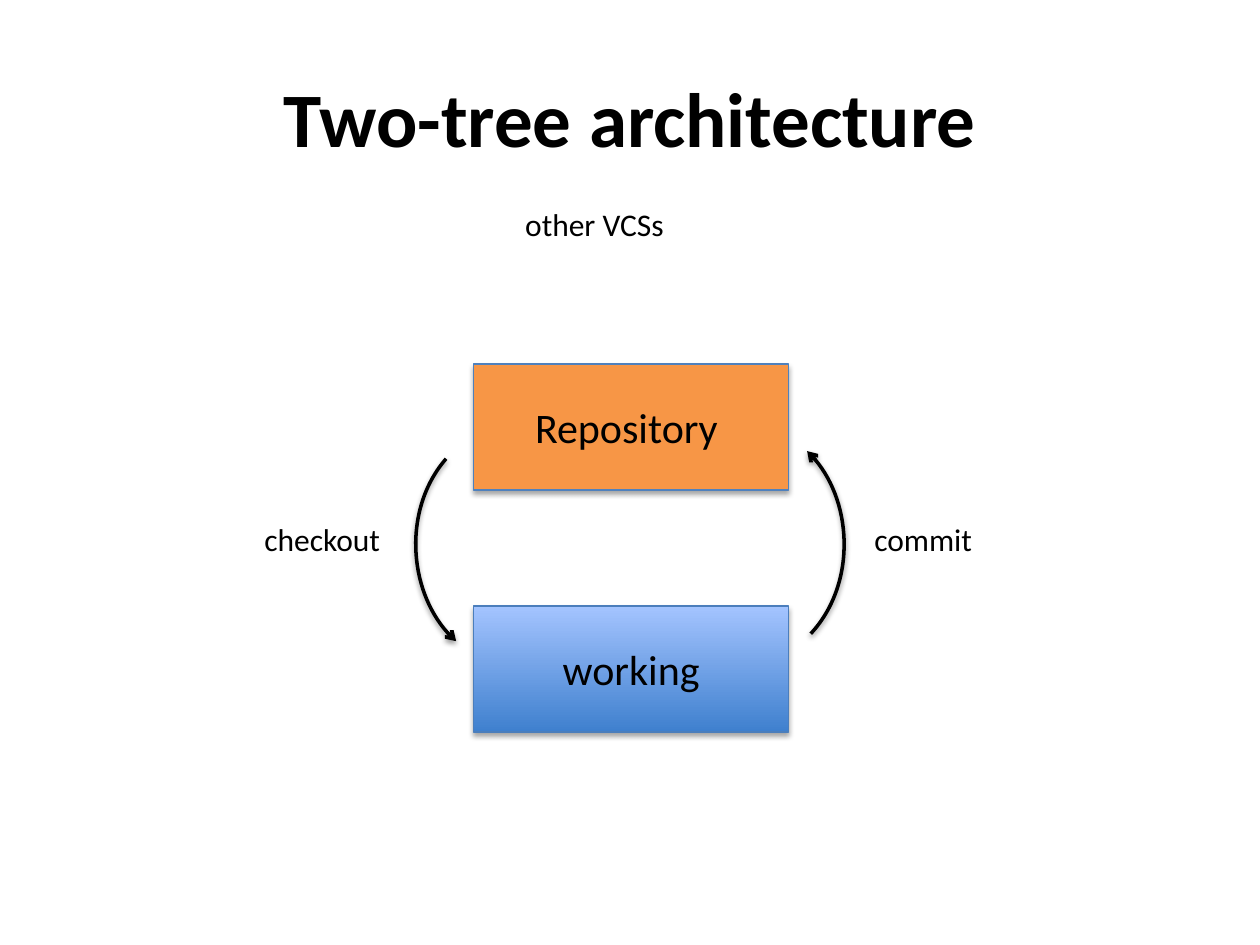
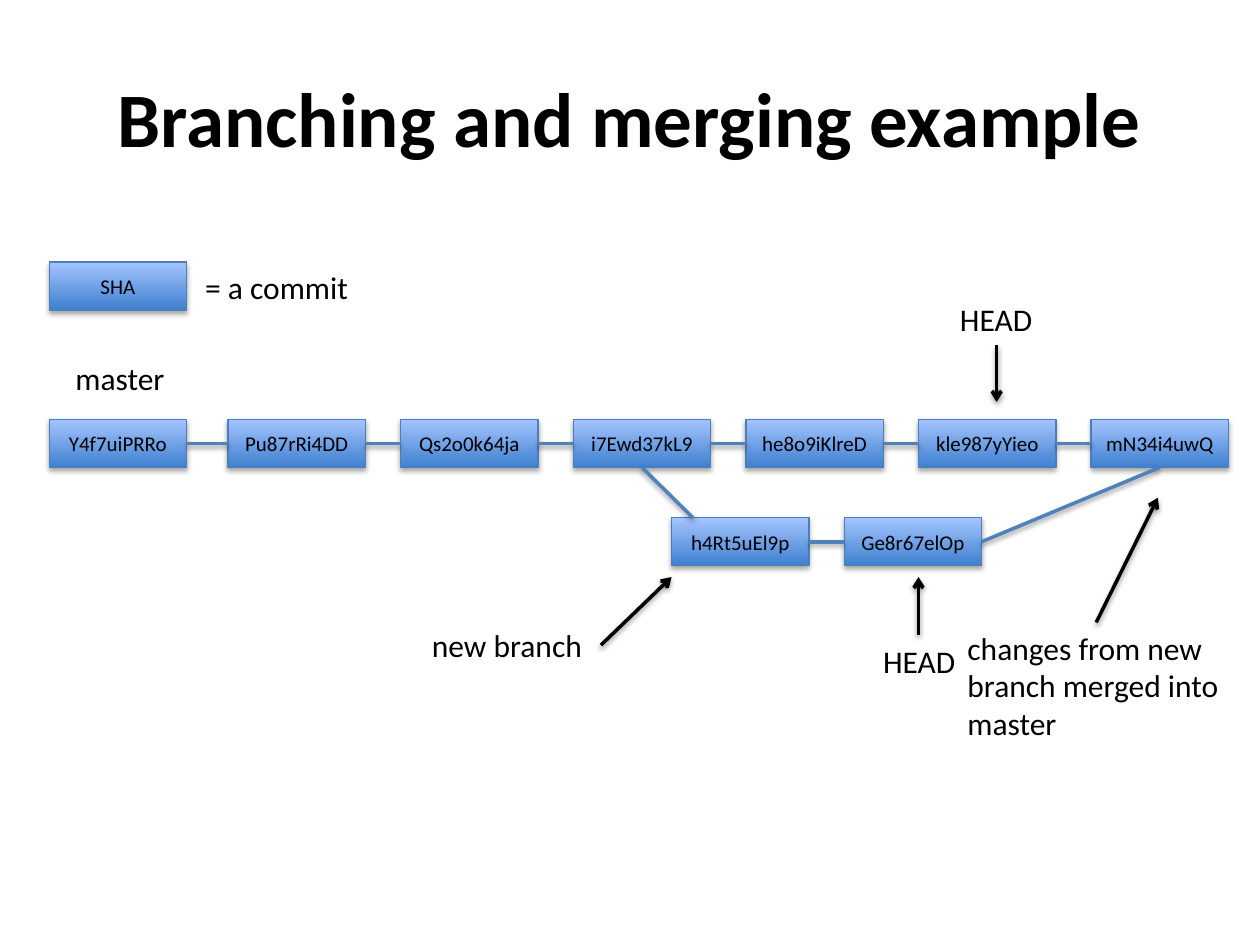
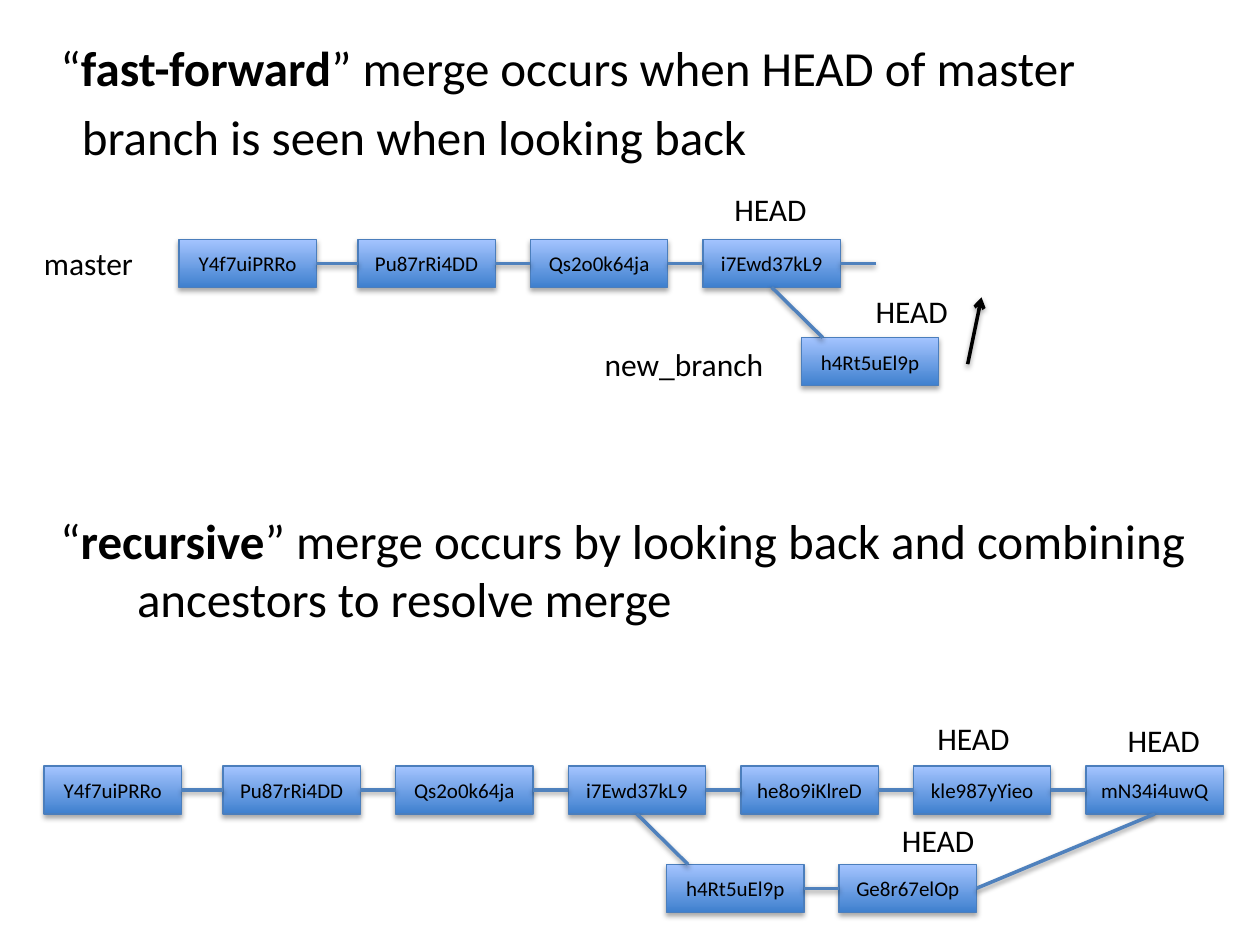
from dataclasses import dataclass
from itertools import pairwise

from lxml import etree
from pptx import Presentation
from pptx.dml.color import RGBColor
from pptx.enum.shapes import MSO_CONNECTOR, MSO_SHAPE
from pptx.enum.text import MSO_ANCHOR, MSO_AUTO_SIZE, PP_ALIGN
from pptx.oxml.ns import qn
from pptx.util import Inches, Pt

STRAIGHT, CURVE = MSO_CONNECTOR.STRAIGHT, MSO_CONNECTOR.CURVE
RECTANGLE = MSO_SHAPE.RECTANGLE
MIDDLE, CENTER = MSO_ANCHOR.MIDDLE, PP_ALIGN.CENTER
GROW, FIXED = MSO_AUTO_SIZE.SHAPE_TO_FIT_TEXT, MSO_AUTO_SIZE.NONE
TITLE_ONLY, TITLE_AND_BODY = 5, 1


@dataclass(frozen=True)
class Theme:
    """Colours, type sizes and line widths of the deck."""

    font: str = "Calibri"
    ink: RGBColor = RGBColor(0x00, 0x00, 0x00)
    orange: RGBColor = RGBColor(0xF7, 0x96, 0x46)
    blue: RGBColor = RGBColor(0x4F, 0x81, 0xBD)
    box_line: RGBColor = RGBColor(0x4B, 0x7E, 0xBC)
    gradient: tuple = (RGBColor(0x3F, 0x80, 0xCE), RGBColor(0xA4, 0xC4, 0xFF))
    title: Pt = Pt(44)
    statement: Pt = Pt(28)
    tree: Pt = Pt(24)
    label: Pt = Pt(18)
    commit: Pt = Pt(12)
    outline: Pt = Pt(0.75)
    connector: Pt = Pt(2)


THEME = Theme()
COMMIT_WIDTH, COMMIT_HEIGHT = 1.09, 0.38
FIRST_STEP, STEP = 1.42, 1.37
BRANCH_LEFT, BRANCH_DROP = 4.94, 0.78
FORK_INDEX, FORK_LANDING = 3, 0.17
MASTER = ["Y4f7uiPRRo", "Pu87rRi4DD", "Qs2o0k64ja", "i7Ewd37kL9",
          "he8o9iKlreD", "kle987yYieo", "mN34i4uwQ"]
BRANCH = ["h4Rt5uEl9p", "Ge8r67elOp"]


def style_font(font, size, bold=False):
    """Apply the deck's typeface and ink."""
    font.name, font.size, font.bold = THEME.font, size, bold
    font.color.rgb = THEME.ink


def add_shadow(shape, opacity, distance):
    """Give a shape or connector a soft shadow straight below it."""
    effects = etree.SubElement(shape._element.spPr, qn("a:effectLst"))
    shadow = etree.SubElement(effects, qn("a:outerShdw"), blurRad=str(Pt(3.1)),
                              dist=str(Pt(distance)), dir="5400000", rotWithShape="0")
    color = etree.SubElement(shadow, qn("a:srgbClr"), val=str(THEME.ink))
    etree.SubElement(color, qn("a:alpha"), val=str(opacity * 1000))


def add_box(slide, text, left, top, width, height, size, solid=None):
    """Draw a captioned rectangle, with the blue gradient unless a colour is given."""
    shape = slide.shapes.add_shape(RECTANGLE, Inches(left), Inches(top),
                                   Inches(width), Inches(height))
    if solid:
        shape.fill.solid()
        shape.fill.fore_color.rgb = solid
    else:
        shape.fill.gradient()
        shape.fill.gradient_angle = 90
        for stop, color in zip(shape.fill.gradient_stops, THEME.gradient):
            stop.color.rgb = color
    shape.line.color.rgb = THEME.blue if solid else THEME.box_line
    shape.line.width = THEME.outline
    add_shadow(shape, 35, 1.8)
    frame = shape.text_frame
    frame.text = text
    frame.word_wrap = False
    frame.vertical_anchor = MIDDLE
    paragraph = frame.paragraphs[0]
    paragraph.alignment = CENTER
    style_font(paragraph.runs[0].font, size)


def add_line(slide, start, end, arrow=False, kind=STRAIGHT):
    """Connect two points with a blue line or a black arrow."""
    connector = slide.shapes.add_connector(kind, *map(Inches, (*start, *end)))
    connector.line.color.rgb = THEME.ink if arrow else THEME.blue
    connector.line.width = THEME.connector
    if arrow:
        etree.SubElement(connector.line._get_or_add_ln(), qn("a:tailEnd"), type="arrow")
    add_shadow(connector, 38, 1.6)
    return connector


def add_arc_arrow(slide, left, top, rotation):
    """Draw a quarter-turn arrow, rotated clockwise by degrees."""
    connector = add_line(slide, (left, top + 1.01), (left + 1.04, top), True, CURVE)
    properties = connector._element.spPr
    properties.find(qn("a:xfrm")).set("rot", str(rotation * 60000))
    properties.find(qn("a:prstGeom")).set("prst", "curvedConnector2")


def add_label(slide, text, left, top, width, height=0.4):
    """Place a plain label."""
    box = slide.shapes.add_textbox(Inches(left), Inches(top), Inches(width), Inches(height))
    frame = box.text_frame
    frame.text = text
    frame.word_wrap = False
    frame.auto_size = GROW
    for paragraph in frame.paragraphs:
        style_font(paragraph.runs[0].font, THEME.label)


def set_title(slide, text):
    """Fill the title placeholder."""
    title = slide.shapes.title
    title.left, title.top = Inches(0.5), Inches(0.3)
    title.width, title.height = Inches(9), Inches(1.25)
    frame = title.text_frame
    frame.text = text
    frame.vertical_anchor = MIDDLE
    frame.paragraphs[0].alignment = CENTER
    style_font(frame.paragraphs[0].runs[0].font, THEME.title, True)


def write_statement(frame, term, first_rest, second_line, indent, space=Pt(0)):
    """Write a quoted bold term with its explanation over two lines."""
    first, second = frame.paragraphs[0], frame.add_paragraph()
    for paragraph, margin in ((first, 0), (second, indent)):
        properties = paragraph._p.get_or_add_pPr()
        properties.set("marL", str(Inches(margin)))
        properties.set("indent", "0")
        etree.SubElement(properties, qn("a:buNone"))
    for text, bold in (("“", False), (term, True), ("” " + first_rest, False)):
        run = first.add_run()
        run.text = text
        style_font(run.font, THEME.statement, bold)
    second.text = second_line
    style_font(second.runs[0].font, THEME.statement)
    first.space_before, second.space_before = Pt(0), space


def draw_two_trees(slide, left, top):
    """Draw the repository and working tree with the arrows between them."""
    for text, drop, color in (("Repository ", 0, THEME.orange), ("working", 1.92, None)):
        add_box(slide, text, left, top + drop, 2.5, 1, THEME.tree, color)
    add_arc_arrow(slide, left - 0.7, top + 0.97, 131)
    add_arc_arrow(slide, left + 2.14, top + 0.91, 313)
    add_label(slide, "checkout", left - 1.76, top + 1.19, 1.14)
    add_label(slide, "commit", left + 3.08, top + 1.19, 0.99)


def add_commit(slide, text, left, top):
    """Draw one commit."""
    add_box(slide, text, left, top, COMMIT_WIDTH, COMMIT_HEIGHT, THEME.commit)


def draw_commit_row(slide, names, lefts, top):
    """Draw commits side by side and join neighbours."""
    for name, left in zip(names, lefts):
        add_commit(slide, name, left, top)
    middle = top + COMMIT_HEIGHT / 2
    for left, following in pairwise(lefts):
        add_line(slide, (left + COMMIT_WIDTH, middle), (following, middle))


def draw_commit_graph(slide, left, top, master, branch, labels, arrows):
    """Draw master, its branch, and notes placed from the graph's corner."""
    lefts = [left] + [left + FIRST_STEP + STEP * i for i in range(len(master) - 1)]
    branch_lefts = [left + BRANCH_LEFT + STEP * i for i in range(len(branch))]
    branch_top, bottom = top + BRANCH_DROP, top + COMMIT_HEIGHT
    draw_commit_row(slide, master, lefts, top)
    draw_commit_row(slide, branch, branch_lefts, branch_top)
    add_line(slide, (lefts[FORK_INDEX] + COMMIT_WIDTH / 2, bottom),
             (branch_lefts[0] + FORK_LANDING, branch_top))
    branch_end = branch_lefts[-1] + COMMIT_WIDTH
    if len(master) > FORK_INDEX + 1:
        add_line(slide, (branch_end, branch_top + COMMIT_HEIGHT / 2),
                 (lefts[-1] + COMMIT_WIDTH / 2, bottom))
    else:
        stub, middle = lefts[-1] + COMMIT_WIDTH, top + COMMIT_HEIGHT / 2
        add_line(slide, (stub, middle), (stub + STEP - COMMIT_WIDTH, middle))
    for text, across, down, *size in labels:
        add_label(slide, text, left + across, top + down, *size)
    for from_x, from_y, to_x, to_y in arrows:
        add_line(slide, (left + from_x, top + from_y), (left + to_x, top + to_y), True)


def build_architecture_slide(presentation):
    """Show the two-tree architecture."""
    slide = presentation.slides.add_slide(presentation.slide_layouts[TITLE_ONLY])
    set_title(slide, "Two-tree architecture")
    add_label(slide, "other VCSs", 4.07, 1.58, 1.3)
    draw_two_trees(slide, 3.76, 2.89)


def build_branching_slide(presentation):
    """Show a branch that is merged back into master."""
    slide = presentation.slides.add_slide(presentation.slide_layouts[TITLE_ONLY])
    set_title(slide, "Branching and merging example")
    add_commit(slide, "SHA", 0.39, 2.08)
    labels = [
        ("= a commit", 1.14, -1.25, 1.35),
        ("master", 0.11, -0.53, 0.92),
        ("new branch", 2.94, 1.59, 1.44),
        ("HEAD", 7.13, -1, 0.78),
        ("HEAD", 6.52, 1.72, 0.78),
        ("changes from new\nbranch merged into\nmaster", 7.19, 1.61, 2.23, 1.01),
    ]
    arrows = [
        (4.38, 1.79, 4.94, 1.25),
        (8.31, 1.61, 8.8, 0.62),
        (7.52, -0.59, 7.52, -0.14),
        (6.9, 1.71, 6.9, 1.25),
    ]
    draw_commit_graph(slide, 0.39, 3.33, MASTER, BRANCH, labels, arrows)


def build_merge_slide(presentation):
    """Compare fast-forward and recursive merges."""
    slide = presentation.slides.add_slide(presentation.slide_layouts[TITLE_AND_BODY])
    title = slide.shapes.title._element
    title.getparent().remove(title)
    body = slide.placeholders[1]
    body.left, body.top = Inches(0.38), Inches(0.25)
    body.width, body.height = Inches(9.32), Inches(1.14)
    body.text_frame.auto_size = FIXED
    write_statement(body.text_frame, "fast-forward", "merge occurs when HEAD of master",
                    "branch is seen when looking back", 0.17, Pt(5.6))
    labels = [
        ("HEAD", 4.31, -0.44, 0.78),
        ("HEAD", 5.43, 0.37, 0.78),
        ("master", -1.17, -0.01, 0.92),
        ("new_branch", 3.28, 0.79, 1.51),
    ]
    draw_commit_graph(slide, 1.42, 1.9, MASTER[:FORK_INDEX + 1], BRANCH[:1], labels,
                      [(6.26, 0.99, 6.37, 0.46)])

    recursive = slide.shapes.add_textbox(Inches(0.38), Inches(4), Inches(9.23), Inches(1.04))
    recursive.text_frame.word_wrap = False
    recursive.text_frame.auto_size = GROW
    write_statement(recursive.text_frame, "recursive",
                    "merge occurs by looking back and combining",
                    "ancestors to resolve merge", 0.61)
    heads = [("HEAD", 8.5, -0.41, 0.78), ("HEAD", 6.71, 0.39, 0.78),
             ("HEAD", 6.99, -0.42, 0.78)]
    draw_commit_graph(slide, 0.35, 6.08, MASTER, BRANCH, heads, [])


def main():
    """Build the deck."""
    presentation = Presentation()
    presentation.slide_width, presentation.slide_height = Inches(10), Inches(7.5)
    build_architecture_slide(presentation)
    build_branching_slide(presentation)
    build_merge_slide(presentation)
    presentation.save("out.pptx")


if __name__ == "__main__":
    main()
